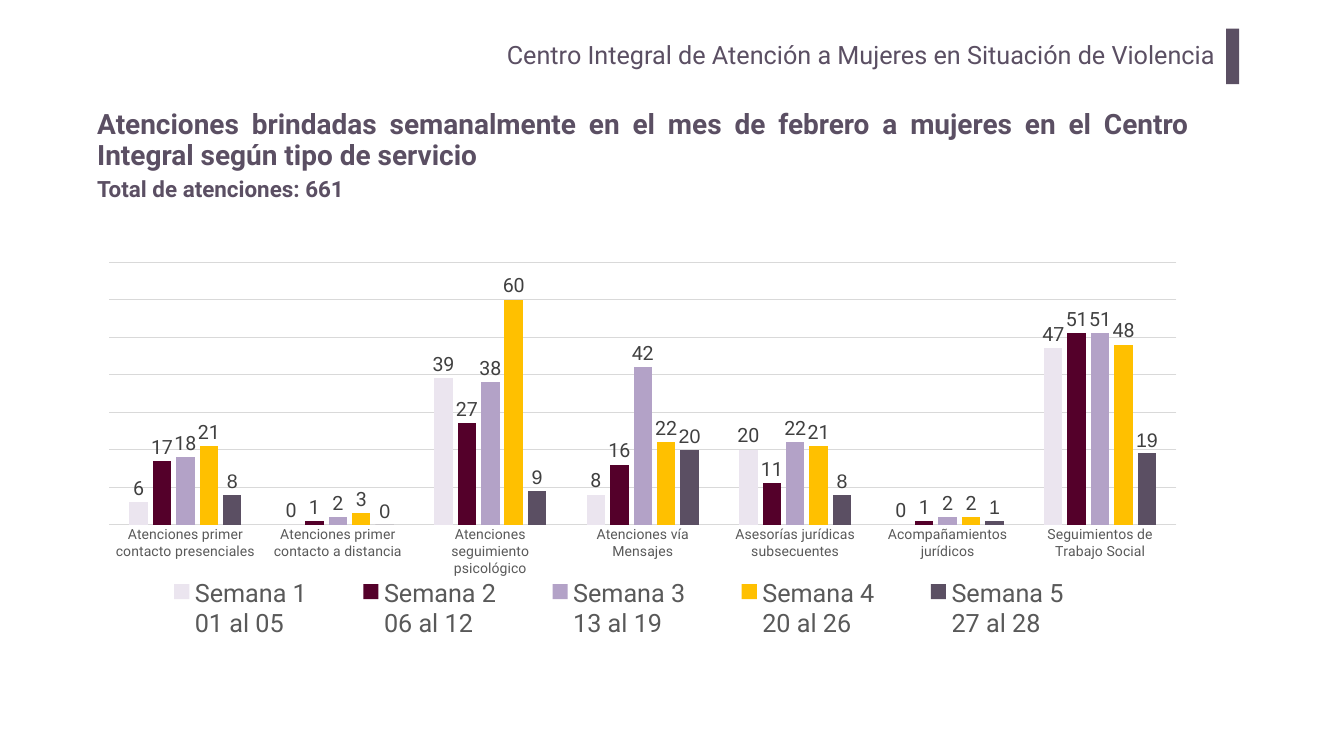
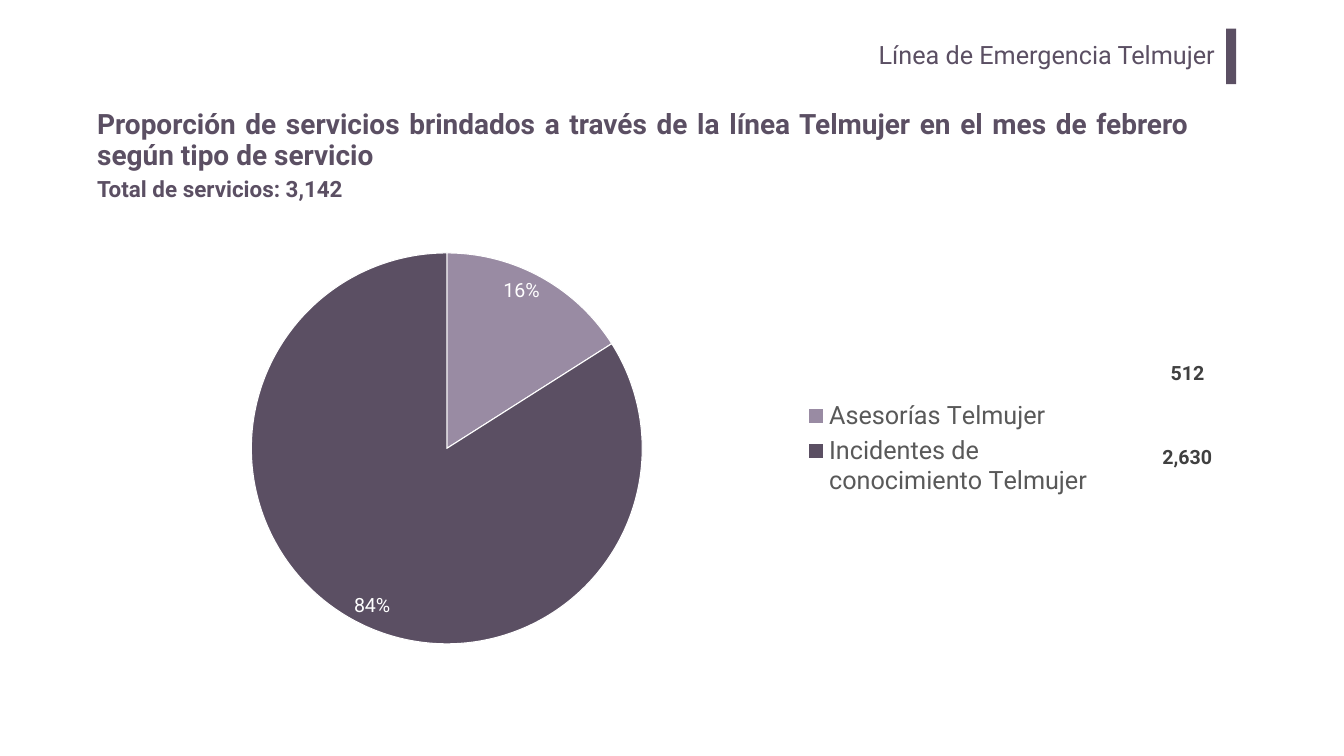
import pptx
import pptx.util
import pptx.chart.data
import pptx.dml.color
import pptx.enum.chart
import pptx.enum.shapes
import pptx.enum.text
import pptx.oxml
import pptx.oxml.ns

Inches = pptx.util.Inches
Pt = pptx.util.Pt
ALIGN = pptx.enum.text.PP_ALIGN
CHART = pptx.enum.chart

FONT = "Roboto"
COLORS = {
    "plum": "5B4F63",
    "mauve": "998BA3",
    "lilac": "B3A2C7",
    "pale": "EBE5EF",
    "wine": "54002A",
    "amber": "FFC000",
    "text": "404040",
    "axis_text": "595959",
    "grid": "D9D9D9",
    "white": "FFFFFF",
}

SERVICES = [
    "Atenciones primer contacto presenciales",
    "Atenciones primer contacto a distancia",
    "Atenciones seguimiento psicológico",
    "Atenciones vía Mensajes",
    "Asesorías jurídicas subsecuentes",
    "Acompañamientos jurídicos",
    "Seguimientos de Trabajo Social",
]
# Name, values, bar colour, label font
WEEKS = [
    ("Semana 1\n01 al 05", (6, 0, 39, 8, 20, 0, 47), "pale", FONT),
    ("Semana 2\n06 al 12", (17, 1, 27, 16, 11, 1, 51), "wine", FONT),
    ("Semana 3\n13 al 19", (18, 2, 38, 42, 22, 2, 51), "lilac", FONT),
    ("Semana 4\n20 al 26", (21, 3, 60, 22, 21, 2, 48), "amber", FONT),
    ("Semana 5\n27 al 28", (8, 0, 9, 20, 8, 1, 19), "plum", "Arial"),
]
HOTLINE_SERVICES = [
    ("Asesorías Telmujer", 16, "mauve"),
    ("Incidentes de conocimiento Telmujer", 84, "plum"),
]


def rgb(name):
    return pptx.dml.color.RGBColor.from_string(COLORS[name])


def style_font(font, size, color, bold=None, name=FONT):
    font.name = name
    font.size = Pt(size)
    font.bold = bold
    font.color.rgb = rgb(color)


def fill_solid(fill, color):
    fill.solid()
    fill.fore_color.rgb = rgb(color)


def add_text(slide, box, text, size, color="plum", bold=True, align=ALIGN.LEFT,
             margins=(0.1, 0.05), middle=False, line_spacing=None):
    shape = slide.shapes.add_textbox(*map(Inches, box))
    frame = shape.text_frame
    frame.word_wrap = True
    frame.margin_left = frame.margin_right = Inches(margins[0])
    frame.margin_top = frame.margin_bottom = Inches(margins[1])
    if middle:
        frame.vertical_anchor = pptx.enum.text.MSO_ANCHOR.MIDDLE
    paragraph = frame.paragraphs[0]
    paragraph.alignment = align
    if line_spacing:
        paragraph.line_spacing = line_spacing
    run = paragraph.add_run()
    run.text = text
    style_font(run.font, size, color, bold)


def add_slide(presentation, section, title, total, band_width):
    """Blank slide with the shared section header, band, title and total."""
    slide = presentation.slides.add_slide(presentation.slide_layouts[6])
    add_text(slide, (4.01, 0.67, 20.3, 1.02), section, 36, bold=False,
             align=ALIGN.RIGHT, margins=(0.2, 0.1))
    band = slide.shapes.add_shape(pptx.enum.shapes.MSO_SHAPE.RECTANGLE,
                                  *map(Inches, (24.33, 0.57, band_width, 1.1)))
    band.shadow.inherit = False
    fill_solid(band.fill, "plum")
    band.line.fill.background()
    add_text(slide, (1.83, 2.07, 21.85, 1.45), title, 40,
             align=ALIGN.JUSTIFY, middle=True, line_spacing=0.9)
    add_text(slide, (1.83, 3.43, 5.64, 0.64), total, 32)
    return slide


def set_layout(element, x, y, width, height, inner=False):
    """Place the plot area or the legend by fractions of the chart."""
    for old in element.findall(pptx.oxml.ns.qn("c:layout")):
        element.remove(old)
    target = '<c:layoutTarget val="inner"/>' if inner else ""
    layout = pptx.oxml.parse_xml(
        f'<c:layout {pptx.oxml.ns.nsdecls("c")}><c:manualLayout>{target}'
        '<c:xMode val="edge"/><c:yMode val="edge"/>'
        f'<c:x val="{x}"/><c:y val="{y}"/><c:w val="{width}"/><c:h val="{height}"/>'
        '</c:manualLayout></c:layout>')
    position = element.find(pptx.oxml.ns.qn("c:legendPos"))
    if position is None:
        element.insert(0, layout)
    else:
        position.addnext(layout)


def add_chart(slide, kind, box, data, legend_position, plot_layout):
    chart = slide.shapes.add_chart(kind, *map(Inches, box), data).chart
    chart.has_title = False
    chart.font.name = "Arial"
    chart.font.size = Pt(10)
    chart.has_legend = True
    chart.legend.position = legend_position
    chart.legend.include_in_layout = False
    style_font(chart.legend.font, 36, "axis_text")
    set_layout(chart.plots[0]._element.getparent(), *plot_layout, inner=True)
    return chart


def style_labels(labels, color, position, number_format, name=FONT):
    labels.number_format = number_format
    labels.number_format_is_linked = False
    labels.position = position
    style_font(labels.font, 28, color, name=name)


def style_gridline(line):
    line.color.rgb = rgb("grid")
    line.width = Pt(0.75)


def add_weekly_chart(slide):
    data = pptx.chart.data.CategoryChartData(number_format="0")
    data.categories = SERVICES
    for name, values, _, _ in WEEKS:
        data.add_series(name, values)
    chart = add_chart(slide, CHART.XL_CHART_TYPE.COLUMN_CLUSTERED,
                      (1.83, 4.88, 22.48, 8.05), data,
                      CHART.XL_LEGEND_POSITION.BOTTOM, (0.015, 0.04, 0.942, 0.647))
    set_layout(chart.legend._element, 0.03, 0.81, 0.87, 0.17)

    plot = chart.plots[0]
    plot.gap_width = 219
    plot.overlap = -27
    plot.vary_by_categories = False
    for series, (_, _, color, label_font) in zip(plot.series, WEEKS):
        fill_solid(series.format.fill, color)
        series.data_labels.show_value = True
        style_labels(series.data_labels, "text",
                     CHART.XL_LABEL_POSITION.OUTSIDE_END, "0", label_font)

    services = chart.category_axis
    services.major_tick_mark = CHART.XL_TICK_MARK.NONE
    style_font(services.tick_labels.font, 20, "axis_text")
    style_gridline(services.format.line)
    counts = chart.value_axis
    counts.minimum_scale, counts.maximum_scale, counts.major_unit = 0, 70, 10
    counts.has_major_gridlines = True
    style_gridline(counts.major_gridlines.format.line)
    counts.visible = False


def add_hotline_chart(slide):
    data = pptx.chart.data.CategoryChartData(number_format="0")
    data.categories = [name for name, _, _ in HOTLINE_SERVICES]
    data.add_series("Series 1", [share for _, share, _ in HOTLINE_SERVICES])
    chart = add_chart(slide, CHART.XL_CHART_TYPE.PIE, (1.83, 4.88, 19.99, 8.05), data,
                      CHART.XL_LEGEND_POSITION.RIGHT, (0.158, 0.017, 0.388, 0.964))
    plot = chart.plots[0]
    plot.vary_by_categories = True
    series = plot.series[0]
    for index, (_, _, color) in enumerate(HOTLINE_SERVICES):
        slice_format = series.points[index].format
        fill_solid(slice_format.fill, color)
        slice_format.line.color.rgb = rgb("white")
        slice_format.line.width = Pt(1.5)
    labels = series.data_labels
    labels.show_value = False
    labels.show_percentage = True
    style_labels(labels, "white", CHART.XL_LABEL_POSITION.INSIDE_END, "0%")


def main():
    presentation = pptx.Presentation()
    presentation.slide_width = Inches(26.67)
    presentation.slide_height = Inches(15)

    # Weekly attention by type of service
    weekly = add_slide(
        presentation,
        "Centro Integral de Atención a Mujeres en Situación de Violencia",
        "Atenciones brindadas semanalmente en el mes de febrero a mujeres "
        "en el Centro Integral según tipo de servicio",
        "Total de atenciones: 661", 0.26)
    add_weekly_chart(weekly)

    # Share of hotline services, with counts beside the legend
    hotline = add_slide(
        presentation,
        "Línea de Emergencia Telmujer",
        "Proporción de servicios brindados a través de la línea Telmujer "
        "en el mes de febrero según tipo de servicio",
        "Total de servicios: 3,142", 0.2)
    for count, box in (("512", (23.04, 7.12, 1.05, 0.51)),
                       ("2,630", (22.81, 8.77, 1.5, 0.51))):
        add_text(hotline, box, count, 28, "text", align=ALIGN.CENTER)
    add_hotline_chart(hotline)

    presentation.save("out.pptx")


if __name__ == "__main__":
    main()
